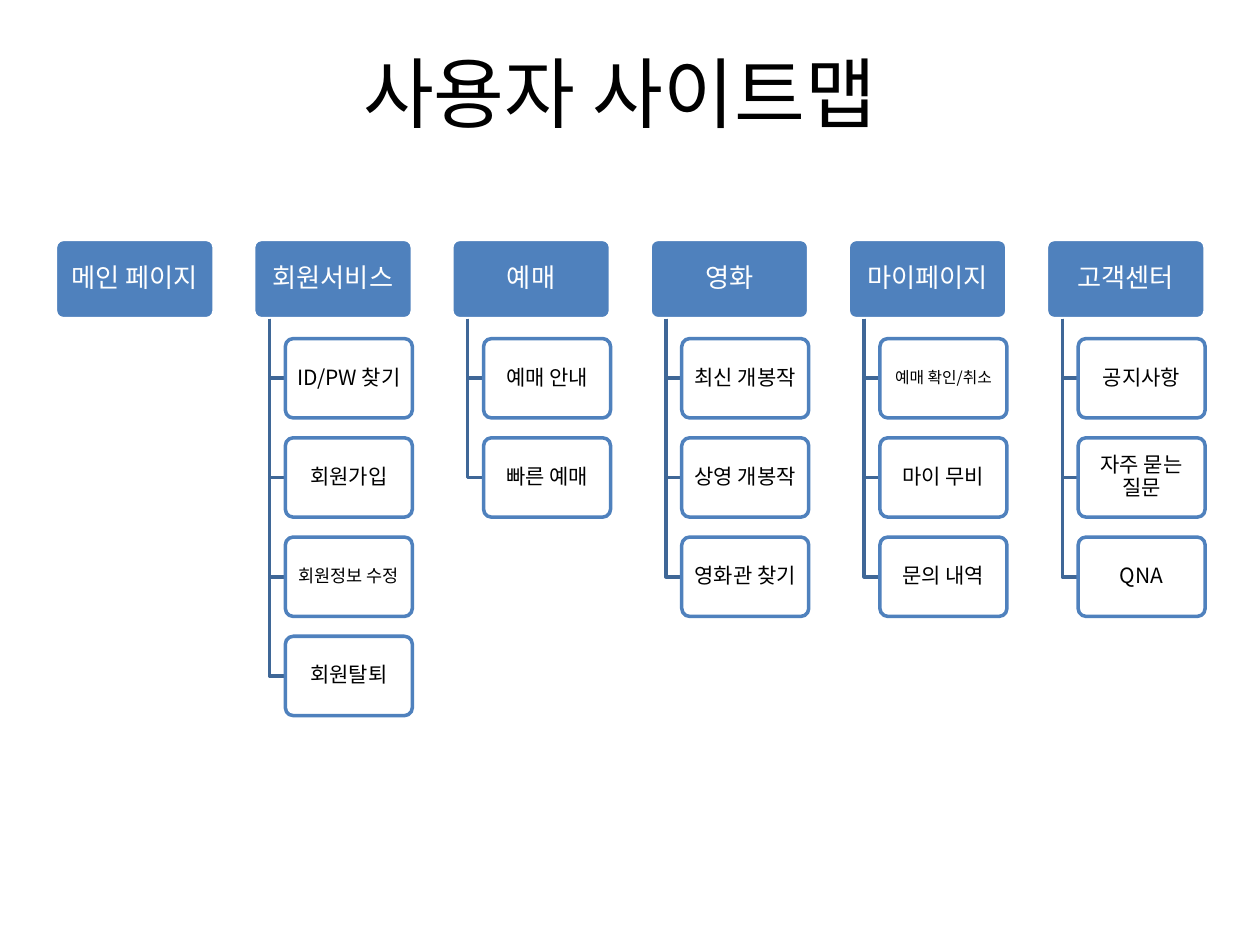
import pptx
import pptx.util
import pptx.dml.color
import pptx.enum.shapes
import pptx.enum.text
import pptx.oxml.ns
import lxml.etree

Inches = pptx.util.Inches
Pt = pptx.util.Pt
RGBColor = pptx.dml.color.RGBColor
qn = pptx.oxml.ns.qn

TITLE = "사용자 사이트맵"
SECTIONS = [
    ("메인 페이지", []),
    ("회원서비스", ["ID/PW 찾기", "회원가입", "회원정보 수정", "회원탈퇴"]),
    ("예매", ["예매 안내", "빠른 예매"]),
    ("영화", ["최신 개봉작", "상영 개봉작", "영화관 찾기"]),
    ("마이페이지", ["예매 확인/취소", "마이 무비", "문의 내역"]),
    ("고객센터", ["공지사항", "자주 묻는 질문", "QNA"]),
]
SMALL_SIZES = {"회원정보 수정": 10, "예매 확인/취소": 9}

FONT = "Noto Sans CJK KR"
BLUE = RGBColor(0x4F, 0x81, 0xBD)
DARK_BLUE = RGBColor(0x3F, 0x67, 0x97)
WHITE = RGBColor(0xFF, 0xFF, 0xFF)
BLACK = RGBColor(0, 0, 0)

LEFT, TOP = 0.44, 1.9
HEADER_WIDTH, HEIGHT = 1.26, 0.63
COLUMN_STEP = HEADER_WIDTH * 1.25 - 0.002
ROW_STEP = HEIGHT * 1.25
INDENT = HEADER_WIDTH / 10
ITEM_WIDTH = HEADER_WIDTH * 0.8


def format_text(frame, size, color):
    frame.vertical_anchor = pptx.enum.text.MSO_ANCHOR.MIDDLE
    frame.word_wrap = True
    para = frame.paragraphs[0]
    para.alignment = pptx.enum.text.PP_ALIGN.CENTER
    for span in para.runs:
        span.font.size = Pt(size)
        span.font.color.rgb = color
        span.font.name = FONT
        east_asian = lxml.etree.SubElement(span.font._element, qn("a:ea"))
        east_asian.set("typeface", FONT)
    return para


def add_box(label, left, top, width, fill, line, size, color):
    box = page.shapes.add_shape(
        pptx.enum.shapes.MSO_SHAPE.ROUNDED_RECTANGLE,
        Inches(left), Inches(top), Inches(width), Inches(HEIGHT))
    box.adjustments[0] = 0.1
    box.shadow.inherit = False
    box.fill.solid()
    box.fill.fore_color.rgb = fill
    box.line.color.rgb = line
    box.line.width = Pt(2)
    frame = box.text_frame
    frame.margin_left = frame.margin_right = Inches(0.02 if size < 12 else 0.03)
    frame.margin_top = frame.margin_bottom = Inches(0.01 if size < 12 else 0.02)
    frame.text = label
    format_text(frame, size, color).line_spacing = 0.9
    return box


def add_branch(left, top, bottom):
    builder = page.shapes.build_freeform(Inches(left), Inches(top))
    builder.add_line_segments(
        [(Inches(left), Inches(bottom)), (Inches(left + INDENT), Inches(bottom))],
        close=False)
    branch = builder.convert_to_shape()
    branch.shadow.inherit = False
    branch.fill.background()
    branch.line.color.rgb = DARK_BLUE
    branch.line.width = Pt(2)


deck = pptx.Presentation()
deck.slide_width, deck.slide_height = Inches(10), Inches(7.5)
page = deck.slides.add_slide(deck.slide_layouts[5])

title = page.shapes.title
title.left, title.top = Inches(0.67), Inches(0.29)
title.width, title.height = Inches(8.5), Inches(0.87)
title.text_frame.text = TITLE
format_text(title.text_frame, 44, BLACK)

for column, (header, items) in enumerate(SECTIONS):
    left = LEFT + column * COLUMN_STEP
    add_box(header, left, TOP, HEADER_WIDTH, BLUE, WHITE, 15, WHITE)
    for row, item in enumerate(items, start=1):
        top = TOP + row * ROW_STEP
        add_branch(left + INDENT, TOP + HEIGHT, top + HEIGHT / 2)
        box = add_box(item, left + 2 * INDENT, top, ITEM_WIDTH, WHITE, BLUE,
                      SMALL_SIZES.get(item, 12), BLACK)
        fill_color = box._element.spPr.find(qn("a:solidFill"))[0]
        lxml.etree.SubElement(fill_color, qn("a:alpha")).set("val", "90000")

deck.save("out.pptx")
